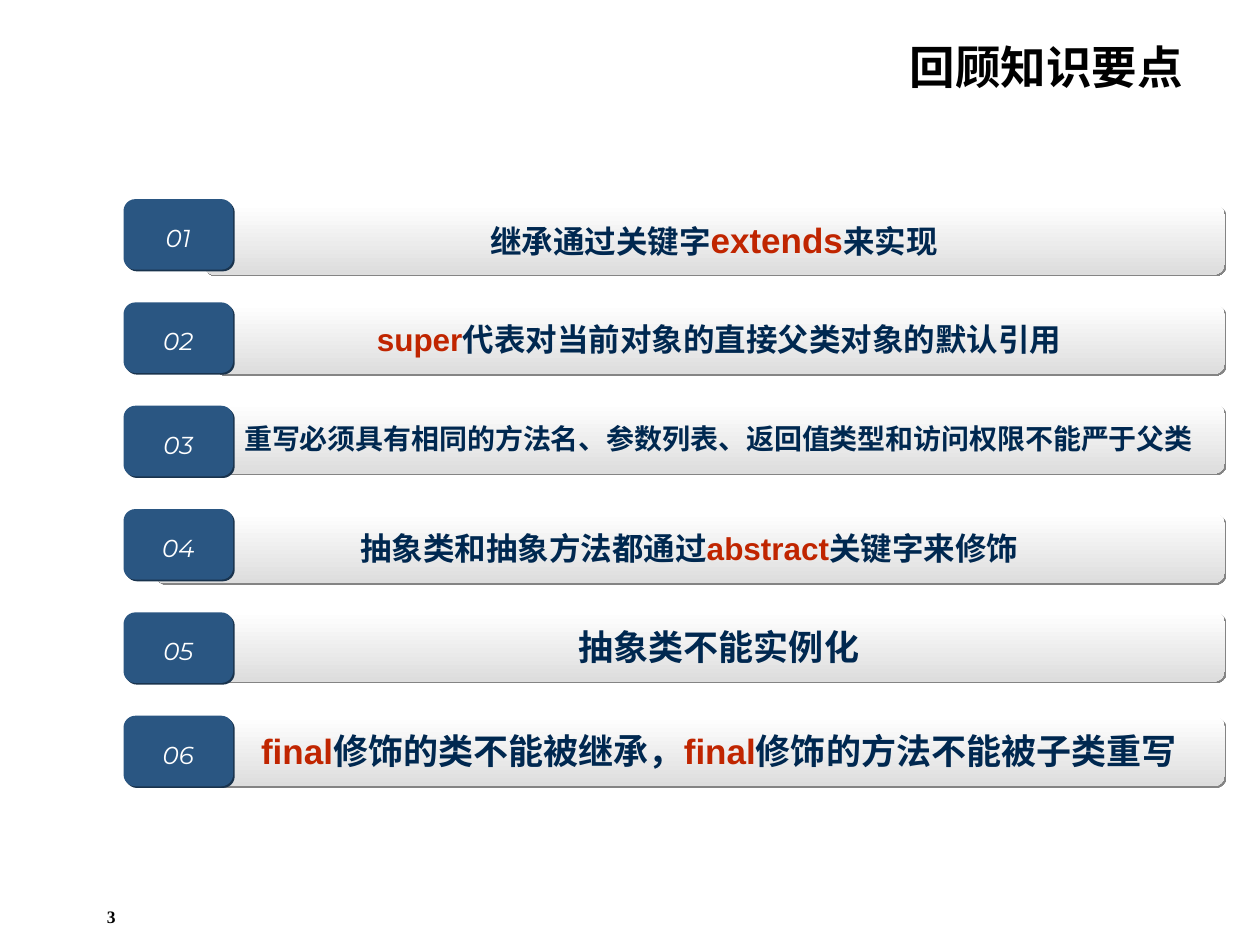
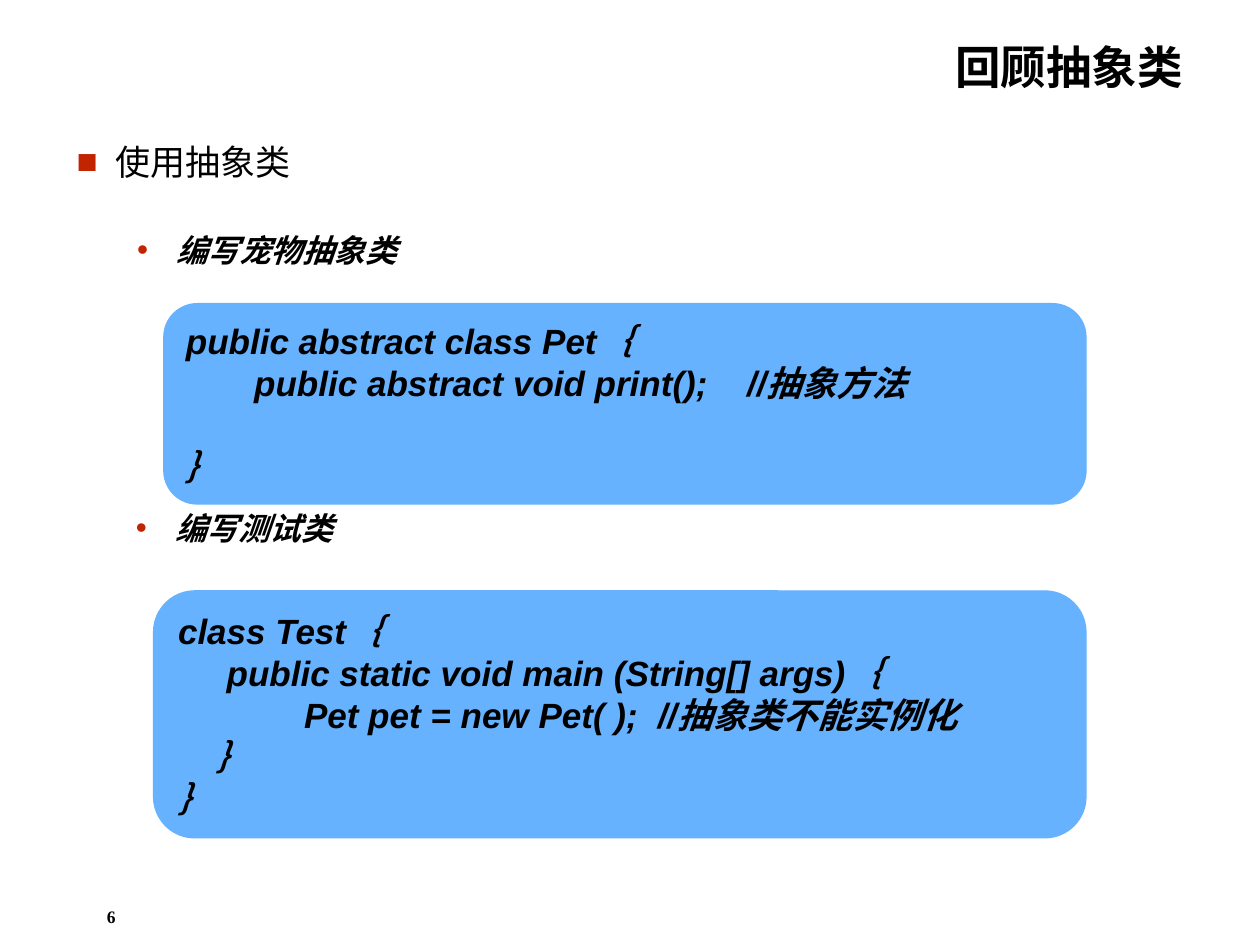
from lxml import etree
from pptx import Presentation
from pptx import util as u
from pptx.dml import color
from pptx.enum import lang, shapes, text
from pptx.oxml import ns

Pt = u.Pt
RED, NAVY, BLUE, SKY = "C02500", "002850", "2A5682", "66B2FE"
BLACK, WHITE, GREY = "000000", "FFFFFF", "DDDDDD"
ALIGN = text.PP_ALIGN


def rgb(code):
    return color.RGBColor.from_string(code)


def sub(node, tag, **attrs):
    return etree.SubElement(node, ns.qn(tag), **attrs)


def say(frame, *runs, font="Arial", size=20, ink=BLACK, bold=True, slant=False,
        align=ALIGN.LEFT, indent=0, before=0, bullet=None):
    para = frame.add_paragraph() if frame.text else frame.paragraphs[0]
    para.alignment = align
    para.space_before = Pt(before)
    props = para._p.get_or_add_pPr()
    if indent:
        props.set("marL", str(Pt(indent)))
        props.set("indent", str(-Pt(indent) if bullet else 0))
    if bullet:
        sub(sub(props, "a:buClr"), "a:srgbClr", val=RED)
        sub(props, "a:buFont", typeface="Arial")
        sub(props, "a:buChar", char=bullet)
    for item in runs:
        words, extra = item if isinstance(item, tuple) else (item, {})
        run = para.add_run()
        run.text = words
        face = run.font
        face.name = font
        face.size = Pt(extra.get("size", size))
        face.bold, face.italic = bold, slant
        face.color.rgb = rgb(extra.get("ink", ink))
        face.language_id = lang.MSO_LANGUAGE_ID.SIMPLIFIED_CHINESE
        mark = run._r.get_or_add_rPr()
        sub(mark, "a:ea", typeface=font)
        if "gap" in extra:
            mark.set("spc", str(extra["gap"]))


class Deck:
    def __init__(self):
        self.file = Presentation()
        self.file.slide_width, self.file.slide_height = Pt(720), Pt(540)
        self.slide = None

    def page(self, title, number):
        self.slide = self.file.slides.add_slide(self.file.slide_layouts[5])
        head = self.slide.shapes.title
        head.left, head.top, head.width, head.height = map(Pt, (36.7, 15.1, 646.6, 45.4))
        frame = head.text_frame
        frame.vertical_anchor = text.MSO_ANCHOR.MIDDLE
        frame.auto_size = text.MSO_AUTO_SIZE.NONE
        say(frame, title, size=26, align=ALIGN.RIGHT)
        self.note((36.7, 514.1, 113, 15.8), number, font="Times New Roman",
                  size=10, indent=17.3)

    def note(self, area, words, wrap=True, **form):
        box = self.slide.shapes.add_textbox(*map(Pt, area))
        box.text_frame.word_wrap = wrap
        say(box.text_frame, words, **form)

    def block(self, area, fill, shade=None, fade=None):
        kind = shapes.MSO_SHAPE.FLOWCHART_ALTERNATE_PROCESS
        shape = self.slide.shapes.add_shape(kind, *map(Pt, area))
        shape.shadow.inherit = False
        if fade:
            shape.fill.gradient()
            shape.fill.gradient_angle = 270
            for stop, code in zip(shape.fill.gradient_stops, (fill, fade)):
                stop.color.rgb = rgb(code)
        else:
            shape.fill.solid()
            shape.fill.fore_color.rgb = rgb(fill)
        if shade:
            shape.line.fill.background()
            effects = shape._element.spPr.find(ns.qn("a:effectLst"))
            drop = sub(effects, "a:outerShdw", blurRad="0", dist=str(Pt(1.4)),
                       dir="2700000", algn="ctr", rotWithShape="0")
            sub(drop, "a:srgbClr", val=shade)
        else:
            shape.line.color.rgb = rgb(fill)
            shape.line.width = Pt(0.75)
        return shape.text_frame

    def bar(self, left, top, size, key, parts):
        frame = self.block((left, top, 700 - left, 40.3), WHITE, "848484", GREY)
        frame.word_wrap = False
        frame.vertical_anchor = text.MSO_ANCHOR.MIDDLE
        runs = [(part, {"ink": RED, "size": key}) if part.isascii() else part
                for part in parts]
        say(frame, *runs, size=size, ink=NAVY, align=ALIGN.CENTER)

    def badge(self, top, label):
        self.block((70.6, top, 62.6, 40.3), BLUE, "19334D")
        self.note((82.1, top + 10.1, 39.6, 20.2), label, wrap=False, font="Montserrat",
                  size=14, ink=WHITE, bold=False, slant=True, align=ALIGN.CENTER)

    def code(self, area, lines):
        frame = self.block(area, SKY)
        frame.word_wrap = True
        frame.vertical_anchor = text.MSO_ANCHOR.TOP
        for indent, before, *runs in lines:
            say(frame, *runs, slant=True, indent=indent, before=before)


def main():
    deck = Deck()

    deck.page("回顾知识要点", "3")
    points = [
        (115.9, 116.6, 18, 20, ["继承通过关键字", "extends", "来实现"]),
        (121.7, 173.5, 18, 18, ["super", "代表对当前对象的直接父类对象的默认引用"]),
        (121.7, 230.4, 16, 16,
         ["重写必须具有相同的方法名、参数列表、返回值类型和访问权限不能严于父类"]),
        (87.8, 293, 18, 18, ["抽象类和抽象方法都通过", "abstract", "关键字来修饰"]),
        (121.7, 349.2, 20, 20, ["抽象类不能实例化"]),
        (121.7, 409, 20, 20,
         ["final", "修饰的类不能被继承，", "final", "修饰的方法不能被子类重写"]),
    ]
    for row, point in enumerate(points):
        deck.bar(*point)
        deck.badge(113.8 + 59.04 * row, f"{row + 1:02}")

    deck.page("回顾抽象类", "6")
    deck.code((93.6, 173.5, 527, 114.5), [
        (0, 0, "public abstract class Pet｛"),
        (39, 0, "public abstract void print();", (" ", {"gap": 1670}), "//抽象方法"),
        (0, 24, "｝"),
    ])
    deck.note((36.7, 77, 147.6, 55.4), "使用抽象类", bold=False, indent=22.3, bullet="■")
    sub_form = dict(size=18, slant=True, indent=22.3, bullet="•")
    deck.note((71.3, 128.2, 162.7, 28.8), "编写宠物抽象类", wrap=False, **sub_form)
    deck.note((70.6, 287.3, 130.3, 28.8), "编写测试类", **sub_form)
    deck.code((87.8, 337.7, 532.8, 141.1), [
        (0, 0, "class Test｛"),
        (27.8, 0, "public static void main (String[] args)｛"),
        (72, 0, "Pet pet = new Pet( );", (" ", {"gap": 560}), "//抽象类不能实例化"),
        (22.2, 0, "｝"),
        (0, 0, "｝"),
    ])

    deck.file.save("out.pptx")


if __name__ == "__main__":
    main()
